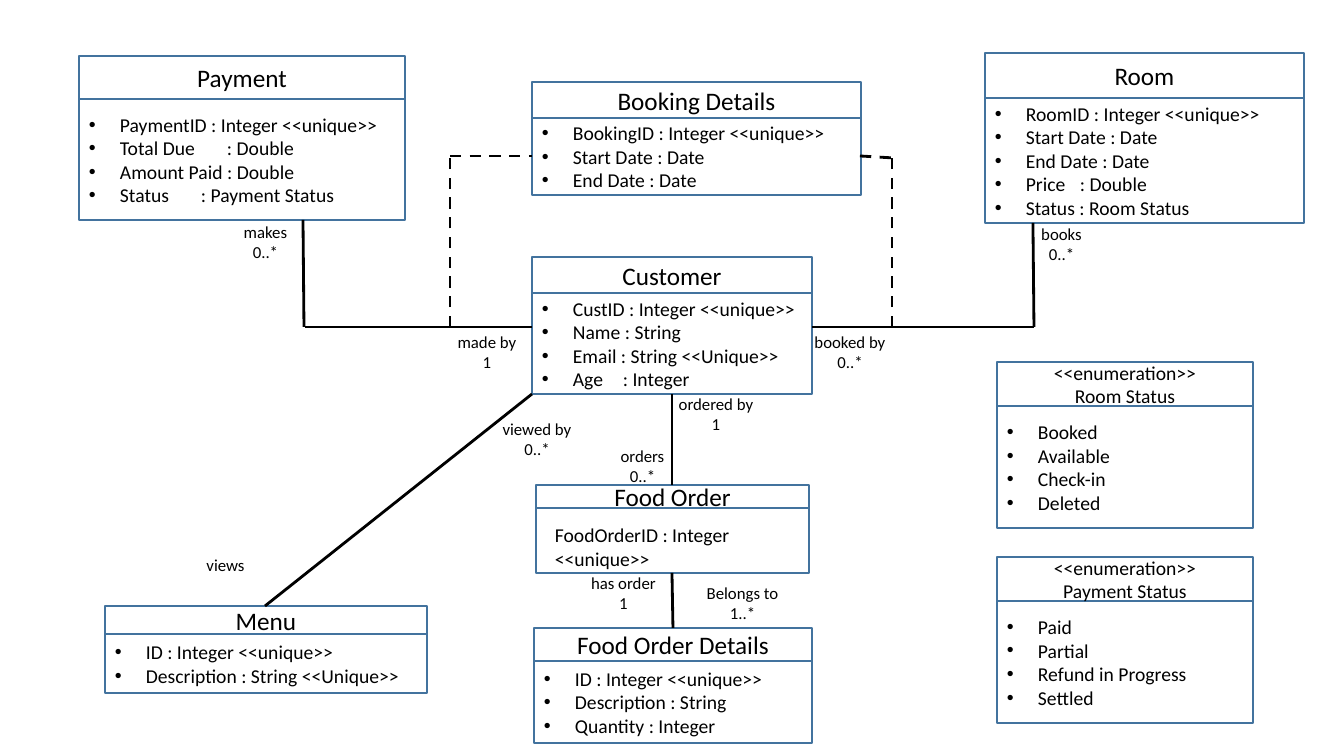
from dataclasses import dataclass

import lxml.etree
import pptx
import pptx.dml.color
import pptx.enum.dml
import pptx.enum.shapes
import pptx.enum.text
import pptx.oxml.ns
import pptx.util

SCALE = 9071.43  # EMU per pixel
qn = pptx.oxml.ns.qn
ALIGN = pptx.enum.text.PP_ALIGN


@dataclass(frozen=True)
class Theme:
    """Colours, font, sizes in points and the bullet indent in pixels."""
    border: str = "43739E"
    ink: str = "000000"
    font: str = "Calibri"
    title: int = 18
    text: int = 14
    label: int = 12
    border_width: int = 1
    link_width: int = 2
    indent: int = 31


@dataclass(frozen=True)
class ClassBox:
    """A class or enumeration; tab is the colon column of spaced attributes."""
    left: int
    top: int
    width: int
    header: int
    body: int
    title: tuple[str, ...]
    items: tuple[str, ...] = ()
    tabs: tuple[int, ...] = ()


@dataclass(frozen=True)
class Link:
    """A straight line between two points."""
    x1: int
    y1: int
    x2: int
    y2: int
    dashed: bool = False


@dataclass(frozen=True)
class Label:
    """A role name with its multiplicity."""
    left: int
    top: int
    width: int
    height: int
    lines: tuple[str, ...]
    wrap: bool = False


THEME = Theme()
ENUM = "<<enumeration>>"

BOXES = (
    ClassBox(79, 56, 326, 43, 121, ("Payment",),
             ("PaymentID : Integer <<unique>>", "Total Due\t: Double",
              "Amount Paid : Double", "Status\t: Payment Status"), (112, 138)),
    ClassBox(532, 257, 280, 36, 101, ("Customer",),
             ("CustID : Integer <<unique>>", "Name : String",
              "Email : String <<Unique>>", "Age\t: Integer"), (81,)),
    ClassBox(985, 53, 319, 45, 125, ("Room",),
             ("RoomID : Integer <<unique>>", "Start Date : Date", "End Date : Date",
              "Price\t: Double", "Status : Room Status"), (85,)),
    ClassBox(532, 82, 329, 36, 77, ("Booking Details",),
             ("BookingID : Integer <<unique>>", "Start Date : Date", "End Date : Date")),
    ClassBox(997, 557, 256, 44, 122, (ENUM, "Payment Status"),
             ("Paid", "Partial", "Refund in Progress", "Settled")),
    ClassBox(997, 362, 256, 44, 122, (ENUM, "Room Status"),
             ("Booked", "Available", "Check-in", "Deleted")),
    ClassBox(105, 606, 322, 28, 59, ("Menu",),
             ("ID : Integer <<unique>>", "Description : String <<Unique>>")),
    ClassBox(534, 628, 278, 33, 82, ("Food Order Details",),
             ("ID : Integer <<unique>>", "Description : String", "Quantity : Integer")),
    ClassBox(536, 485, 273, 23, 65, ("Food Order",)),
)

FOOD_ORDER_KEY = Label(545, 518, 201, 57, ("FoodOrderID : Integer", "<<unique>>"))

LINKS = (
    Link(303, 220, 304, 327), Link(305, 327, 532, 327),
    Link(1033, 223, 1034, 327), Link(812, 327, 1034, 327),
    Link(672, 485, 672, 394), Link(672, 573, 673, 628),
    Link(532, 394, 265, 606),
    Link(450, 327, 450, 156, True), Link(892, 327, 892, 156, True),
    Link(450, 156, 532, 156, True), Link(860, 156, 894, 158, True),
)

LABELS = (
    Label(233, 217, 65, 50, ("makes", "0..*")),
    Label(447, 327, 80, 50, ("made by", "1")),
    Label(804, 327, 92, 50, ("booked by", "0..*")),
    Label(1031, 219, 61, 50, ("books", "0..*")),
    Label(668, 389, 96, 50, ("ordered by", "1")),
    Label(610, 441, 65, 50, ("orders", "0..*")),
    Label(566, 568, 115, 72, ("has order", "1"), True),
    Label(196, 550, 59, 30, ("views",)),
    Label(492, 414, 90, 50, ("viewed by", "0..*")),
    Label(685, 578, 115, 72, ("Belongs to", "1..*"), True),
)


def emu(*pixels: int) -> list[int]:
    """Turn pixels into EMU."""
    return [round(n * SCALE) for n in pixels]


def rgb(value: str) -> pptx.dml.color.RGBColor:
    """Turn a hex string into a colour."""
    return pptx.dml.color.RGBColor.from_string(value)


def add_bullet(p, tab: int | None) -> None:
    """Give a paragraph a hanging bullet and, if asked, a tab stop."""
    pPr = p._p.get_or_add_pPr()
    indent, = emu(THEME.indent)
    pPr.set("marL", str(indent))
    pPr.set("indent", str(-indent))
    lxml.etree.SubElement(pPr, qn("a:buFont"), typeface="Arial")
    lxml.etree.SubElement(pPr, qn("a:buChar"), char="\u2022")
    if tab is not None:
        stops = lxml.etree.SubElement(pPr, qn("a:tabLst"))
        lxml.etree.SubElement(stops, qn("a:tab"), pos=str(emu(tab)[0]), algn="l")


def write(tf, lines: tuple[str, ...], size: int, align,
          bullets: bool = False, tabs: tuple[int, ...] = ()) -> None:
    """Fill a text frame, one paragraph per line."""
    for i, line in enumerate(lines):
        p = tf.add_paragraph() if i else tf.paragraphs[0]
        p.alignment = align
        if bullets:
            label = line.split("\t")[0]
            tab = None
            if label != line:
                tab = max(tabs) if label == "Total Due" else min(tabs)
            add_bullet(p, tab)
        r = p.add_run()
        r.text = line
        r.font.name, r.font.size = THEME.font, pptx.util.Pt(size)
        r.font.color.rgb = rgb(THEME.ink)


def add_panel(slide, left: int, top: int, width: int, height: int):
    """Draw one outlined rectangle and return its text frame."""
    sp = slide.shapes.add_shape(pptx.enum.shapes.MSO_SHAPE.RECTANGLE,
                                *emu(left, top, width, height))
    sp.shadow.inherit = False
    sp.fill.background()
    sp.line.color.rgb = rgb(THEME.border)
    sp.line.width = pptx.util.Pt(THEME.border_width)
    tf = sp.text_frame
    tf.word_wrap = True
    tf.vertical_anchor = pptx.enum.text.MSO_ANCHOR.MIDDLE
    return tf


def add_class(slide, box: ClassBox) -> None:
    """Draw the attribute panel and the header of a class."""
    tf = add_panel(slide, box.left, box.top + box.header, box.width, box.body)
    write(tf, box.items, THEME.text, ALIGN.LEFT, True, box.tabs)
    tf = add_panel(slide, box.left, box.top, box.width, box.header)
    size = THEME.text if ENUM in box.title else THEME.title
    write(tf, box.title, size, ALIGN.CENTER)


def add_link(slide, link: Link) -> None:
    """Draw a solid or dashed line."""
    cx = slide.shapes.add_connector(pptx.enum.shapes.MSO_CONNECTOR.STRAIGHT,
                                    *emu(link.x1, link.y1, link.x2, link.y2))
    cx.line.color.rgb = rgb(THEME.ink)
    cx.line.width = pptx.util.Pt(THEME.link_width)
    if link.dashed:
        cx.line.dash_style = pptx.enum.dml.MSO_LINE.DASH
    lxml.etree.SubElement(cx._element.spPr, qn("a:effectLst"))


def add_label(slide, label: Label, size: int, align) -> None:
    """Add a free-standing text."""
    sp = slide.shapes.add_textbox(*emu(label.left, label.top, label.width, label.height))
    tf = sp.text_frame
    tf.word_wrap = label.wrap
    tf.auto_size = pptx.enum.text.MSO_AUTO_SIZE.SHAPE_TO_FIT_TEXT
    write(tf, label.lines, size, align)


def main() -> None:
    """Build the class diagram and save it."""
    prs = pptx.Presentation()
    prs.slide_width, prs.slide_height = emu(1344, 756)
    slide = prs.slides.add_slide(prs.slide_layouts[6])
    for box in BOXES:
        add_class(slide, box)
    add_label(slide, FOOD_ORDER_KEY, THEME.text, ALIGN.LEFT)
    for link in LINKS:
        add_link(slide, link)
    for label in LABELS:
        add_label(slide, label, THEME.label, ALIGN.CENTER)
    prs.save("out.pptx")


main()
